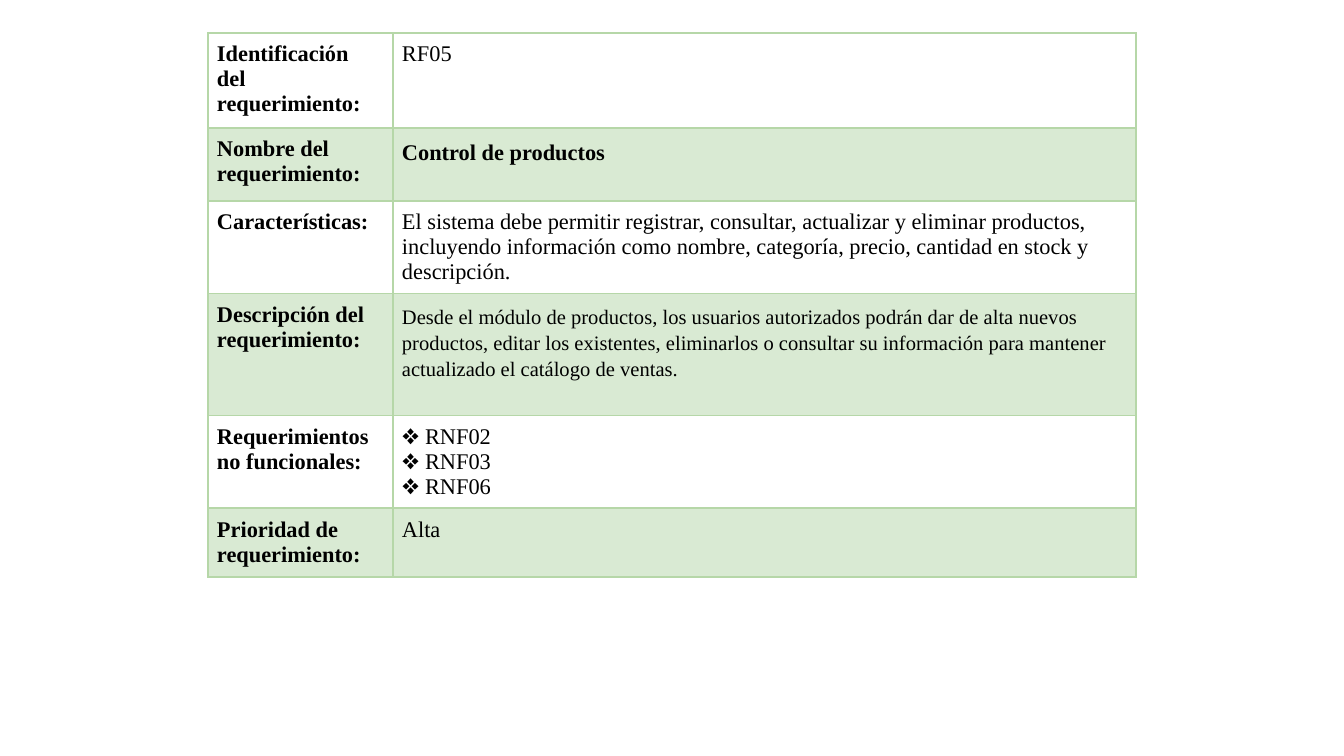
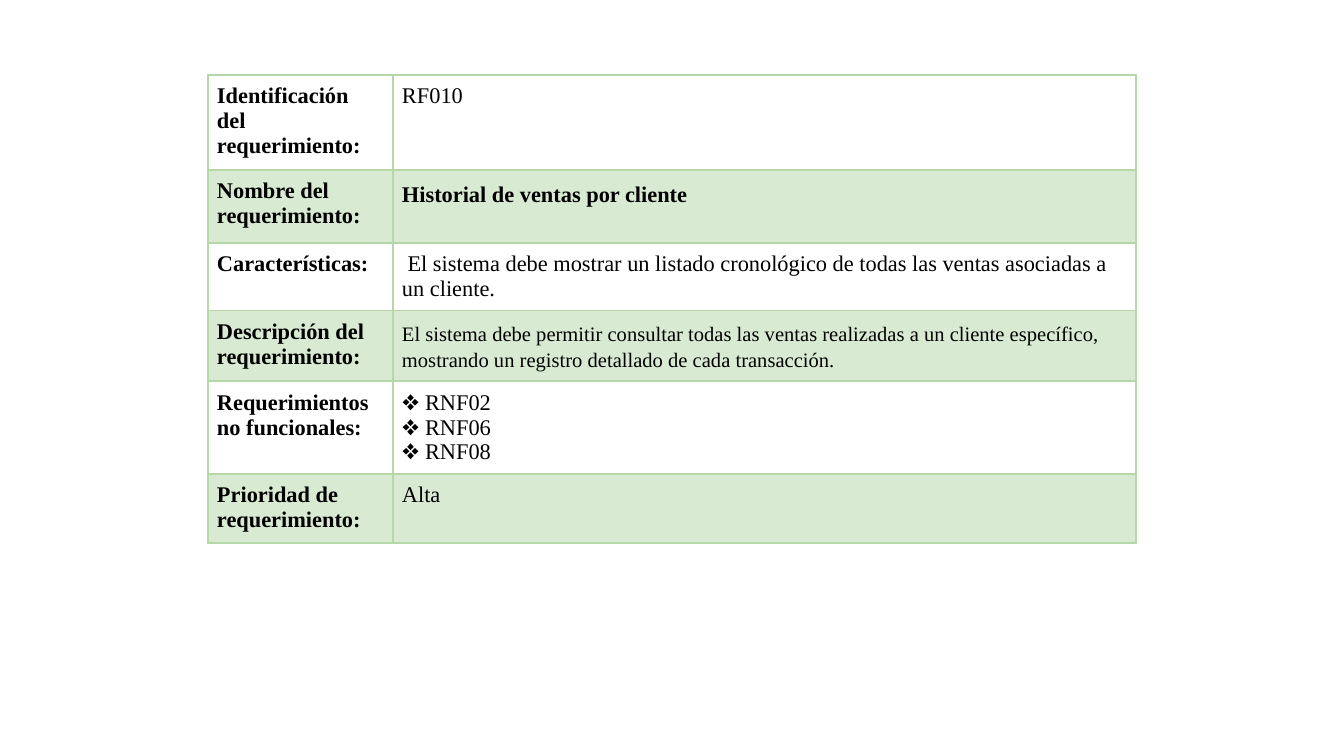
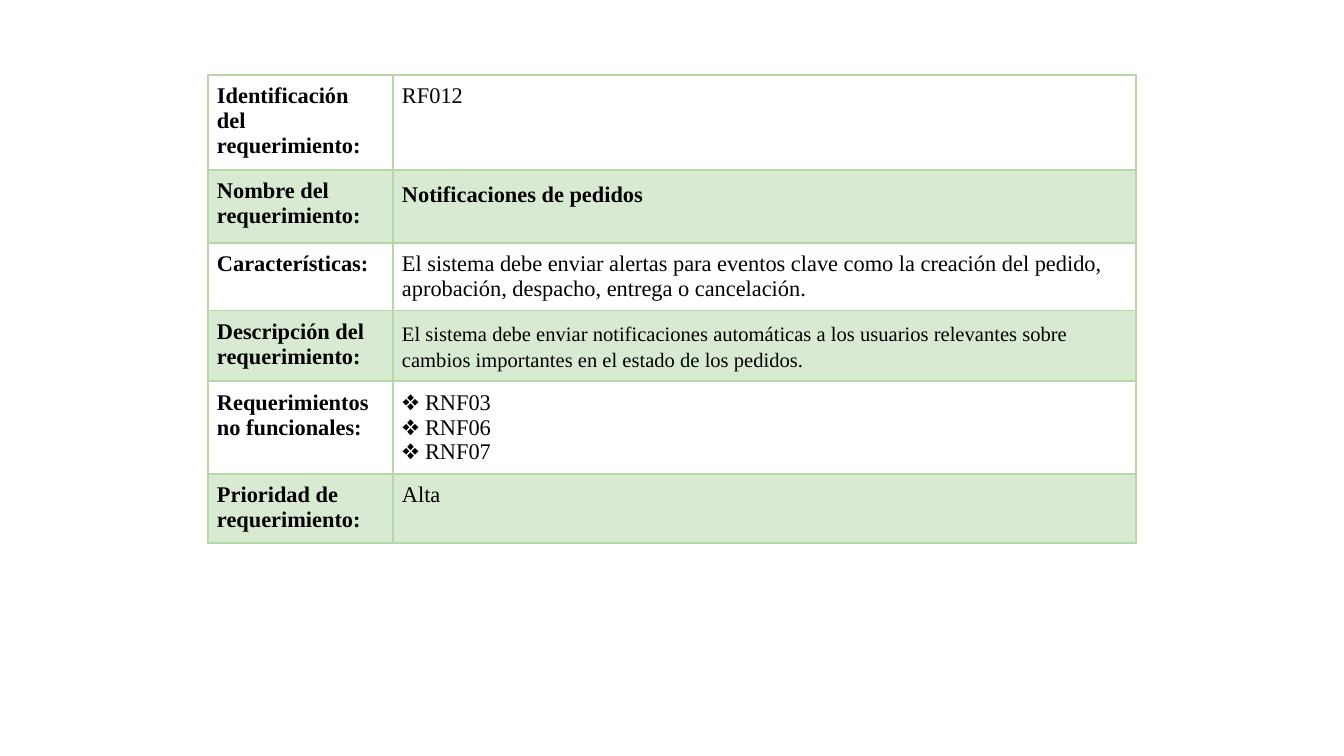
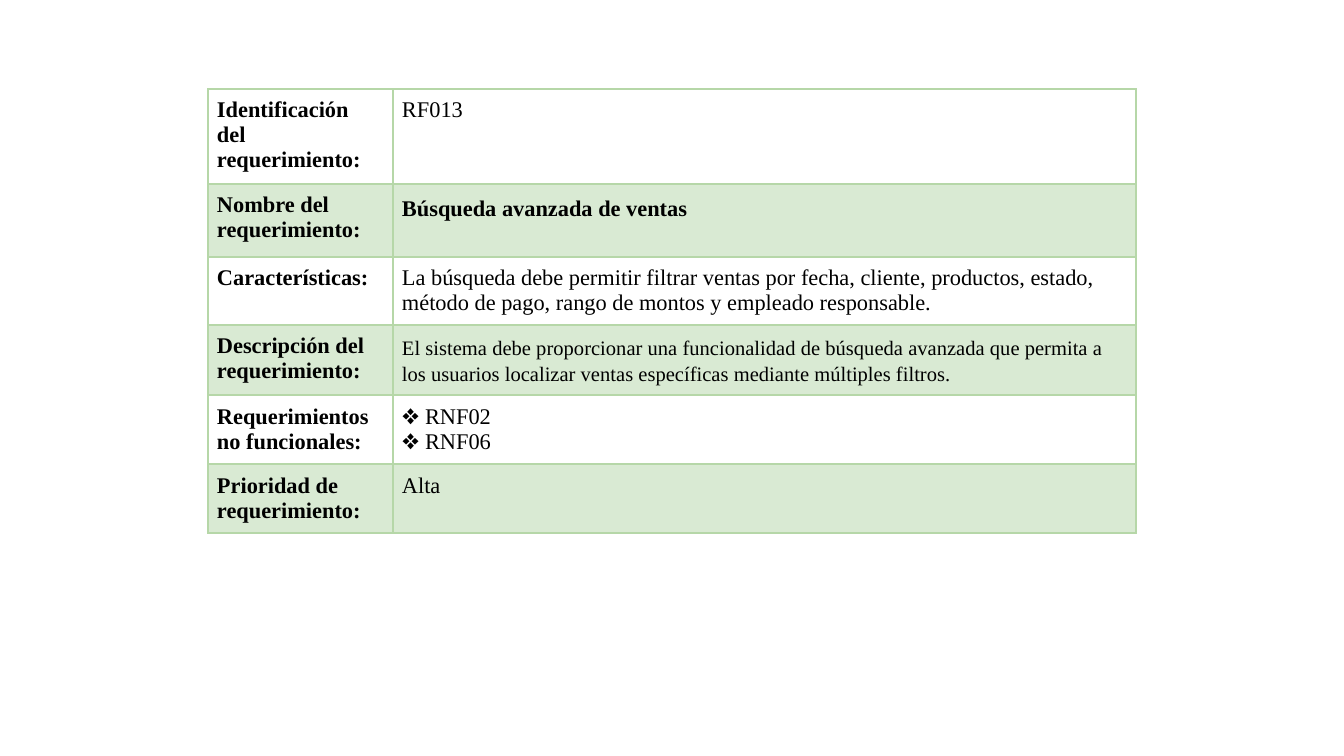
from dataclasses import dataclass

from lxml.etree import SubElement
from pptx import Presentation
from pptx.dml.color import RGBColor
from pptx.oxml.ns import qn
from pptx.util import Emu, Pt

EMU_PER_PX = 914400 / 134.4
COLORS = {"text": "000000", "border": "B6D7A8", "band": "D9EAD3"}
FONT = "Times New Roman"
LABELS = [
    "Identificación\ndel\nrequerimiento:",
    "Nombre del\nrequerimiento:",
    "Características:",
    "Descripción del\nrequerimiento:",
    "Requerimientos\nno funcionales:",
    "Prioridad de\nrequerimiento:",
]
LEFT = 208
COLUMN_WIDTHS = [185, 743]
INSET = 9


@dataclass
class Requirement:
    """One functional requirement and the place of its table."""
    top: int
    code: str
    name: str
    features: str
    description: str
    quality_codes: list
    priority: str = "Alta"
    description_height: int = 69

    def values(self):
        """Return the value column from top to bottom."""
        quality = "\n".join(f"❖ {code}" for code in self.quality_codes)
        return [self.code, self.name, self.features, self.description,
                quality, self.priority]

    def row_heights(self):
        """Return the minimum height of each row."""
        return [95, 73, 44, self.description_height, 69, 69]


REQUIREMENTS = [
    Requirement(
        33, "RF05", "Control de productos",
        "El sistema debe permitir registrar, consultar, actualizar y eliminar "
        "productos, incluyendo información como nombre, categoría, precio, "
        "cantidad en stock y descripción.",
        "Desde el módulo de productos, los usuarios autorizados podrán dar de "
        "alta nuevos productos, editar los existentes, eliminarlos o consultar "
        "su información para mantener actualizado el catálogo de ventas.",
        ["RNF02", "RNF03", "RNF06"], description_height=122),
    Requirement(
        75, "RF010", "Historial de ventas por cliente",
        " El sistema debe mostrar un listado cronológico de todas las ventas "
        "asociadas a un cliente.",
        "El sistema debe permitir consultar todas las ventas realizadas a un "
        "cliente específico, mostrando un registro detallado de cada "
        "transacción.",
        ["RNF02", "RNF06", "RNF08"]),
    Requirement(
        75, "RF012", "Notificaciones de pedidos",
        "El sistema debe enviar alertas para eventos clave como la creación "
        "del pedido, aprobación, despacho, entrega o cancelación.",
        "El sistema debe enviar notificaciones automáticas a los usuarios "
        "relevantes sobre cambios importantes en el estado de los pedidos.",
        ["RNF03", "RNF06", "RNF07"]),
    Requirement(
        89, "RF013", "Búsqueda avanzada de ventas",
        "La búsqueda debe permitir filtrar ventas por fecha, cliente, "
        "productos, estado, método de pago, rango de montos y empleado "
        "responsable.",
        "El sistema debe proporcionar una funcionalidad de búsqueda avanzada "
        "que permita a los usuarios localizar ventas específicas mediante "
        "múltiples filtros.",
        ["RNF02", "RNF06"]),
]


def px(length):
    """Turn px into EMU."""
    return Emu(round(length * EMU_PER_PX))


class Deck:
    """Holds the shared style and the current slide."""

    def __init__(self):
        """Start an empty deck."""
        self.deck = Presentation()
        self.deck.slide_width, self.deck.slide_height = px(1344), px(756)
        self.slide = None

    def add_slide(self):
        """Add a blank slide and make it current."""
        self.slide = self.deck.slides.add_slide(self.deck.slide_layouts[6])

    def border(self, cell):
        """Draw the four thin edges of a cell."""
        properties = cell._tc.get_or_add_tcPr()
        for position, side in enumerate(("lnL", "lnR", "lnT", "lnB")):
            edge = SubElement(properties, qn(f"a:{side}"), w=str(Pt(1)))
            fill = SubElement(edge, qn("a:solidFill"))
            SubElement(fill, qn("a:srgbClr"), val=COLORS["border"])
            properties.insert(position, edge)

    def style_cell(self, cell, text, banded, size=12, bold=False, spacing=None):
        """Fill, border and typeset one cell."""
        cell.margin_left = cell.margin_right = px(INSET)
        cell.margin_top = cell.margin_bottom = px(INSET)
        if banded:
            cell.fill.solid()
            cell.fill.fore_color.rgb = RGBColor.from_string(COLORS["band"])
        else:
            cell.fill.background()
        self.border(cell)
        cell.text_frame.text = text
        for paragraph in cell.text_frame.paragraphs:
            paragraph.line_spacing = spacing
            for run in paragraph.runs:
                run.font.name, run.font.size = FONT, Pt(size)
                run.font.bold = bold
                run.font.color.rgb = RGBColor.from_string(COLORS["text"])

    def requirement_table(self, requirement):
        """Place the label and value table of one requirement."""
        heights = requirement.row_heights()
        table = self.slide.shapes.add_table(
            len(LABELS), 2, px(LEFT), px(requirement.top),
            px(sum(COLUMN_WIDTHS)), px(sum(heights))).table
        table.first_row = table.horz_banding = False
        for column, width in zip(table.columns, COLUMN_WIDTHS):
            column.width = px(width)
        value_styles = {1: {"bold": True, "spacing": 1.15},
                        3: {"size": 11, "spacing": 1.15}}
        rows = zip(LABELS, requirement.values(), heights)
        for index, (label, value, height) in enumerate(rows):
            table.rows[index].height = px(height)
            banded = index % 2 == 1
            self.style_cell(table.cell(index, 0), label, banded, bold=True)
            self.style_cell(table.cell(index, 1), value, banded,
                            **value_styles.get(index, {}))


def main():
    """Build one slide per requirement."""
    builder = Deck()
    for requirement in REQUIREMENTS:
        builder.add_slide()
        builder.requirement_table(requirement)
    builder.deck.save("out.pptx")


if __name__ == "__main__":
    main()
